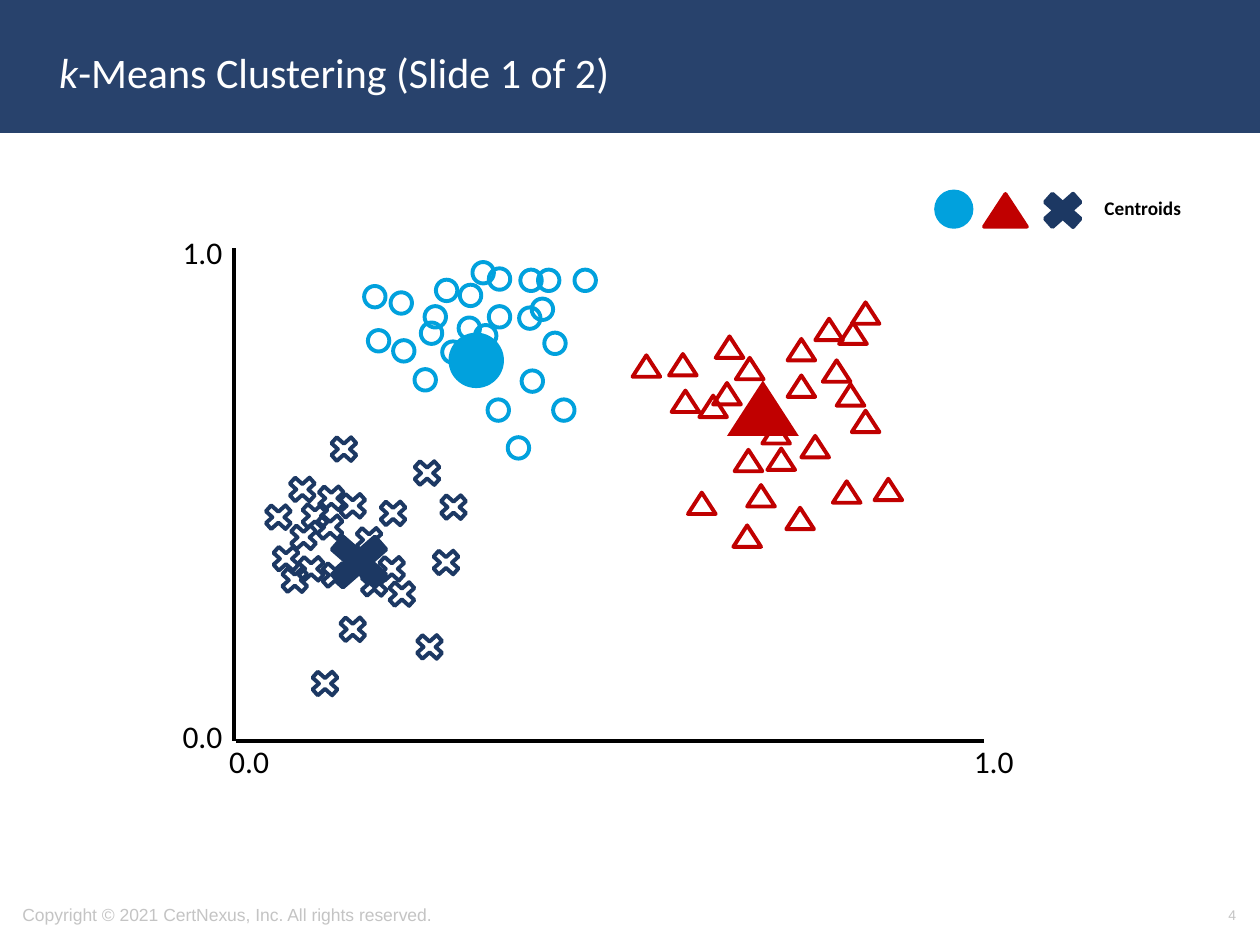
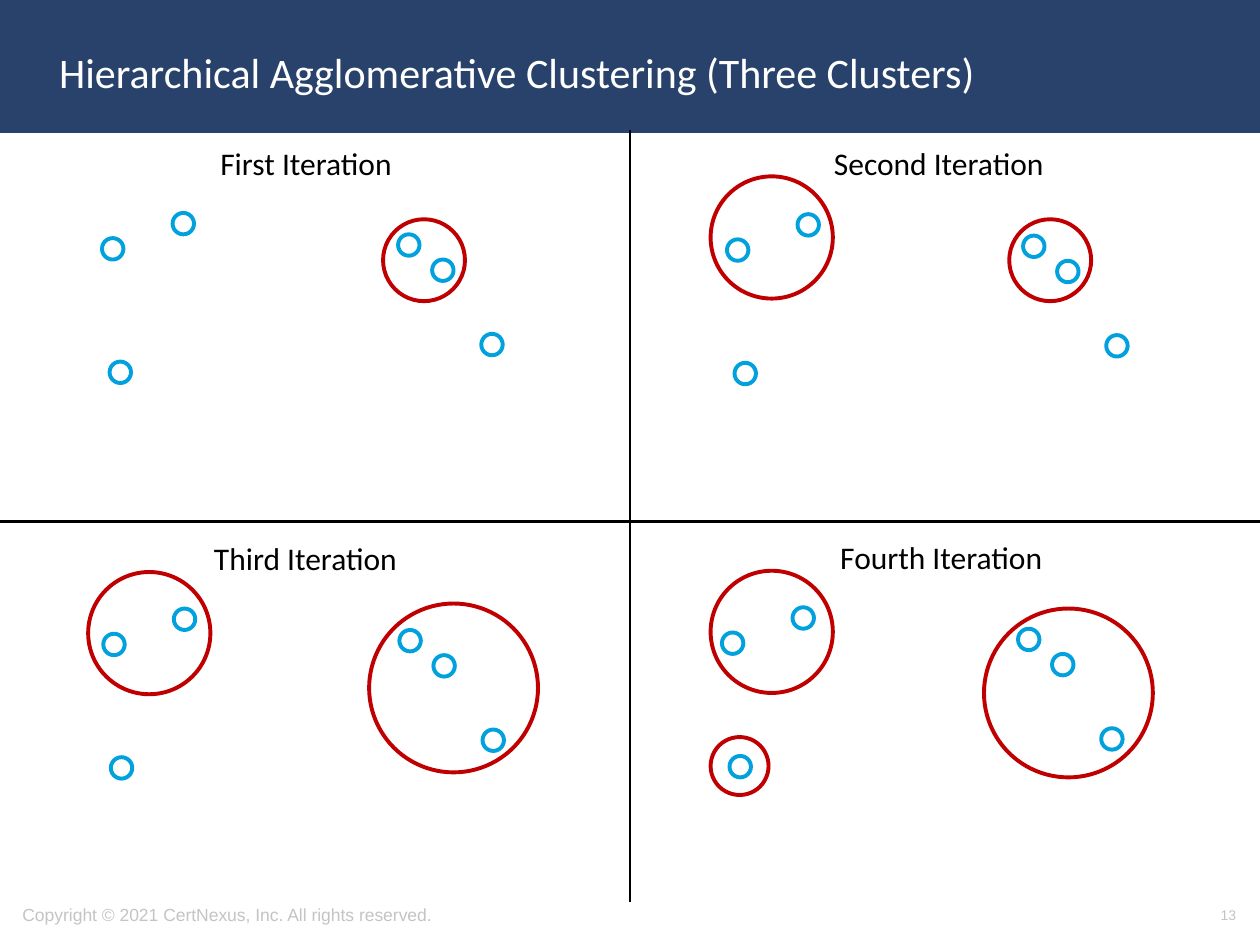
from dataclasses import dataclass

from lxml import etree
from pptx import Presentation
from pptx.dml.color import RGBColor
from pptx.enum.shapes import MSO_CONNECTOR, MSO_SHAPE
from pptx.enum.text import MSO_ANCHOR, PP_ALIGN
from pptx.oxml.ns import qn
from pptx.util import Pt

PX = 9144  # EMU in one px, 100 px to the inch
RECT, OVAL = MSO_SHAPE.RECTANGLE, MSO_SHAPE.OVAL
TRI, CROSS = MSO_SHAPE.ISOSCELES_TRIANGLE, MSO_SHAPE.MATH_MULTIPLY
LINE = MSO_CONNECTOR.STRAIGHT
TOP, MID = MSO_ANCHOR.TOP, MSO_ANCHOR.MIDDLE
LEFT, CENTER, RIGHT = PP_ALIGN.LEFT, PP_ALIGN.CENTER, PP_ALIGN.RIGHT


@dataclass(frozen=True)
class Theme:
    band: str = "28426C"
    white: str = "FFFFFF"
    black: str = "000000"
    grey: str = "C4C4C4"
    blue: str = "01A1DD"
    red: str = "C00000"
    navy: str = "1C3863"
    body: str = "Calibri"
    small: str = "Arial"
    title: int = 24
    label: int = 18
    key: int = 11
    foot: int = 10
    page: int = 8
    edge: float = 2.25
    rule: float = 1.5
    frame: int = 2


T = Theme()

# Hollow markers: shape, colour, size, places in the plot box
MARKS = [
    (TRI, T.red, (22, 17), [
        (547, 153), (525, 169), (553, 186), (525, 198), (466, 204),
        (468, 167), (566, 156), (576, 140), (431, 181), (433, 210),
        (402, 182), (455, 214), (484, 184), (446, 291), (482, 317),
        (483, 257), (493, 285), (509, 256), (505, 235), (536, 246),
        (524, 303), (561, 282), (594, 280), (576, 226), (564, 205)]),
    (CROSS, T.navy, (30, 27), [
        (239, 333), (226, 400), (143, 429), (204, 358), (165, 386),
        (196, 338), (182, 350), (178, 315), (151, 343), (132, 338),
        (119, 347), (112, 330), (126, 313), (147, 305), (197, 294),
        (165, 288), (135, 296), (106, 297), (245, 289), (148, 282),
        (125, 275), (158, 243), (224, 262)]),
    (OVAL, T.blue, (17, 17), [
        (192, 162), (212, 170), (229, 193), (268, 187), (287, 217),
        (303, 247), (251, 171), (277, 158), (264, 152), (234, 156),
        (237, 143), (246, 122), (210, 132), (189, 127), (314, 194),
        (288, 143), (312, 144), (265, 126), (275, 108), (288, 113),
        (313, 114), (339, 217), (332, 164), (322, 137), (327, 114),
        (356, 114)]),
]
# Filled centroids: shape, colour, place, outline width
CORES = [
    (CROSS, T.navy, (152, 317, 66, 58), T.edge),
    (TRI, T.red, (477, 202, 57, 44), None),
    (OVAL, T.blue, (256, 164, 44, 44), None),
]
KEYS = [
    (OVAL, T.blue, (0, 4, 28, 28)),
    (TRI, T.red, (38, 6, 34, 26)),
    (CROSS, T.navy, (79, 0, 43, 38)),
]
TICKS = [("1.0", 35, 80), ("0.0", 35, 464), ("1.0", 663, 484), ("0.0", 72, 484)]

# The same six points appear in every panel
DOTS = [(316, 82), (343, 102), (382, 161), (137, 65), (81, 85), (87, 183)]
# Panels: origin, heading, heading box, rings as left, top, size
PANELS = [
    ((0, 104), "First Iteration", (165, 5, 158, 40), [(304, 70, 65)]),
    ((496, 105), "Second Iteration", (156, 4, 189, 40),
     [(68, 35, 97), (305, 69, 65)]),
    ((1, 418), "Third Iteration", (159, 5, 167, 40),
     [(292, 61, 134), (69, 36, 97)]),
    ((492, 417), "Fourth Iteration", (165, 5, 182, 40),
     [(289, 66, 134), (72, 36, 97), (72, 168, 46)]),
]


def rgb(tone):
    return RGBColor.from_string(tone)


def emu(*vals):
    return [v * PX for v in vals]


def shift(org, box):
    """Move a box by the origin of the region that holds it."""
    return (org[0] + box[0], org[1] + box[1], *box[2:])


def write(frame, runs, size, tone, font=T.body, align=LEFT, anchor=TOP, bold=False):
    """Fill a text frame from (text, italic) runs."""
    frame.vertical_anchor = anchor
    para = frame.paragraphs[0]
    para.alignment = align
    for text, slant in runs:
        run = para.add_run()
        run.text = text
        face = run.font
        face.name, face.size, face.bold, face.italic = font, Pt(size), bold, slant
        face.color.rgb = rgb(tone)


def label(slide, box, text, size, tone, wrap=True, **style):
    part = slide.shapes.add_textbox(*emu(*box))
    part.text_frame.word_wrap = wrap
    write(part.text_frame, [(text, False)], size, tone, **style)
    return part


def mark(slide, kind, box, fill=None, edge=None, width=T.edge):
    part = slide.shapes.add_shape(kind, *emu(*box))
    part.shadow.inherit = False
    if fill:
        part.fill.solid()
        part.fill.fore_color.rgb = rgb(fill)
    else:
        part.fill.background()
    if edge:
        part.line.color.rgb = rgb(edge)
        part.line.width = Pt(width)
    else:
        part.line.fill.background()
    return part


def rule(slide, org, ends, width):
    x, y = org
    x1, y1, x2, y2 = ends
    part = slide.shapes.add_connector(LINE, *emu(x + x1, y + y1, x + x2, y + y2))
    part.line.color.rgb = rgb(T.black)
    part.line.width = Pt(width)
    etree.SubElement(part._element.spPr, qn("a:effectLst"))


def dress(layout, slide):
    """Give the layout the band and the copyright line."""
    band = mark(slide, RECT, (0, 0, 1000, 104), T.band, T.band, T.frame)
    foot = label(slide, (8, 706, 527, 40),
                 "Copyright © 2021 CertNexus, Inc. All rights reserved.",
                 T.foot, T.grey, font=T.small, anchor=MID)
    tree = layout.shapes._spTree
    for i, part in enumerate((band, foot)):
        part._element.nvSpPr.cNvPr.set("id", str(50 + i))
        tree.insert(2 + i, part._element)


def head(slide, runs, page):
    """Set the title and the page number."""
    title = slide.shapes.title
    title.left, title.top, title.width, title.height = emu(37, 11, 862, 92)
    write(title.text_frame, runs, T.title, T.white, anchor=MID)
    label(slide, (758, 706, 233, 40), page, T.page, T.grey,
          font=T.small, align=RIGHT, anchor=MID)


def legend(slide, org):
    for kind, tone, box in KEYS:
        mark(slide, kind, shift(org, box), tone, tone)
    label(slide, shift(org, (120, 3, 88, 29)), "Centroids", T.key, T.black,
          align=CENTER, bold=True)


def plot(slide, org):
    # Axes and their end values
    for ends in ((86, 97, 86, 488), (681, 488, 87, 488)):
        rule(slide, org, ends, T.edge)
    for text, x, y in TICKS:
        label(slide, shift(org, (x, y, 52, 40)), text, T.label, T.black, wrap=False)
    # Data points, then centroids on top
    for kind, tone, size, spots in MARKS:
        for spot in spots:
            mark(slide, kind, shift(org, spot + size), edge=tone)
    for kind, tone, box, width in CORES:
        mark(slide, kind, shift(org, box), tone, tone if width else None)


def panel(slide, org, text, box, rings):
    label(slide, shift(org, box), text, T.label, T.black, wrap=False)
    for x, y in DOTS:
        mark(slide, OVAL, shift(org, (x, y, 17, 17)), edge=T.blue)
    for x, y, size in rings:
        mark(slide, OVAL, shift(org, (x, y, size, size)), edge=T.red)


def means(slide):
    head(slide, [("k", True), ("-Means Clustering (Slide 1 of 2)", False)], "4")
    legend(slide, (743, 148))
    plot(slide, (100, 100))


def steps(slide):
    head(slide, [("Hierarchical Agglomerative Clustering (Three Clusters)", False)],
         "13")
    for ends in ((500, 103, 500, 716), (0, 414, 1000, 414)):
        rule(slide, (0, 0), ends, T.rule)
    for part in PANELS:
        panel(slide, *part)


def main():
    deck = Presentation()
    deck.slide_width, deck.slide_height = emu(1000, 750)
    layout = deck.slide_layouts[5]
    first, second = [deck.slides.add_slide(layout) for _ in range(2)]
    dress(layout, first)
    means(first)
    steps(second)
    deck.save("out.pptx")


if __name__ == "__main__":
    main()
